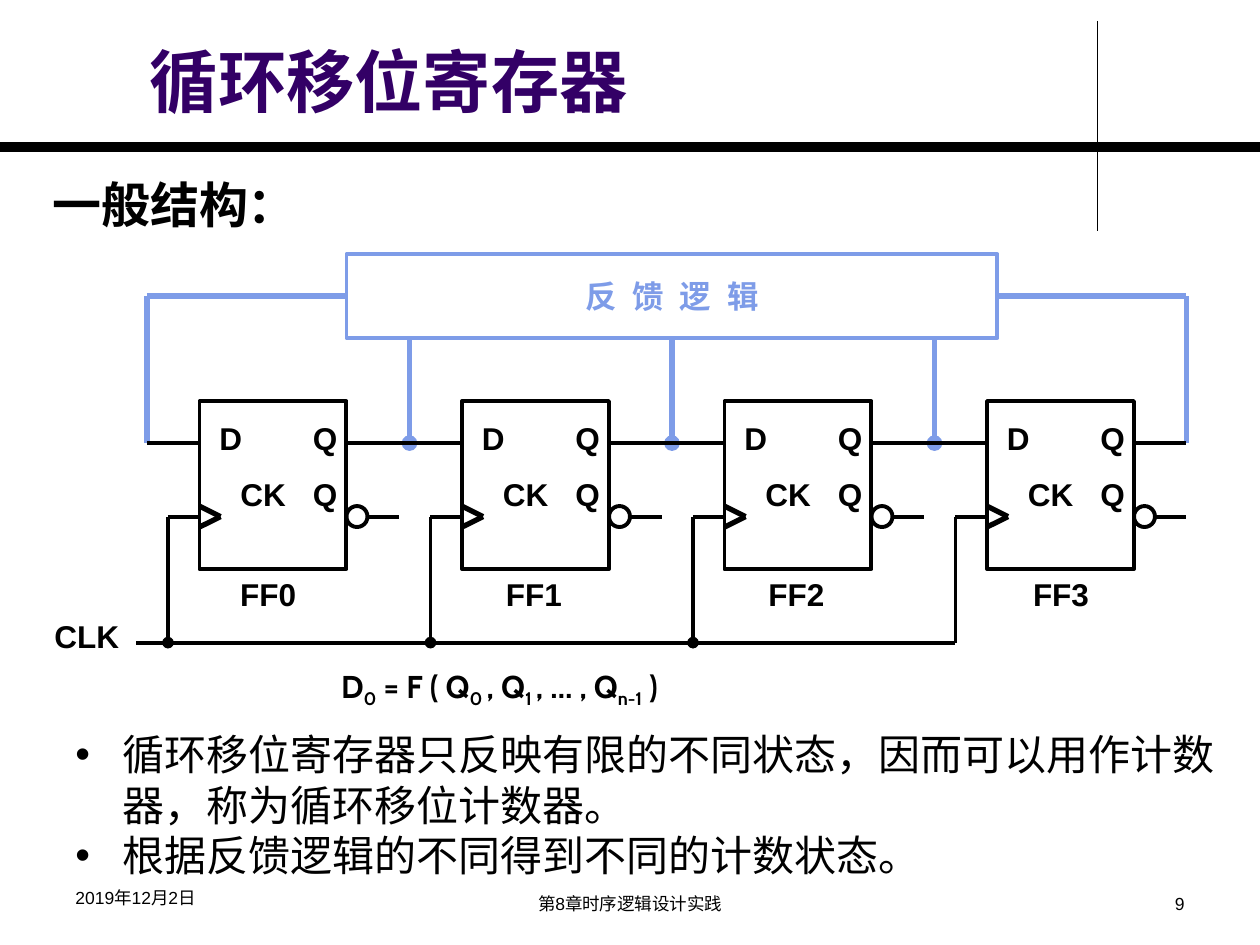
"""Build the slide on the general structure of a circular shift register."""
import pptx
import pptx.dml.color
import pptx.enum.shapes
import pptx.enum.text
import pptx.oxml.ns
import pptx.util
from lxml import etree

EMU_PER_PX = 914400 // 120
BLACK, PURPLE, BLUE = "000000", "330066", "7E9CE8"
ALIGN = pptx.enum.text.PP_ALIGN
ANCHOR = pptx.enum.text.MSO_ANCHOR
SHAPE = pptx.enum.shapes.MSO_SHAPE


def px(length):
    return pptx.util.Emu(length * EMU_PER_PX)


def color(value):
    return pptx.dml.color.RGBColor.from_string(value)


def add_element(parent, name, **attributes):
    return etree.SubElement(parent, pptx.oxml.ns.qn(name), attributes)


class Drawing:
    """Hold the style and the current slide, with one method per kind of element."""

    font_name = "Arial"
    label_size = 18
    wire_width = 2.25
    feedback_width = 3

    def __init__(self, slide):
        self.slide = slide

    def format_runs(self, paragraph, size, ink, bold, font_name=None):
        for run in paragraph.runs:
            run.font.name = font_name or self.font_name
            run.font.size = pptx.util.Pt(size)
            run.font.bold = bold
            run.font.color.rgb = color(ink)

    def text(self, box, content, size, ink=BLACK, bold=False, align=ALIGN.LEFT,
             anchor=ANCHOR.TOP, font_name=None):
        shape = self.slide.shapes.add_textbox(*map(px, box))
        frame = shape.text_frame
        frame.word_wrap = True
        frame.vertical_anchor = anchor
        frame.text = content
        for paragraph in frame.paragraphs:
            paragraph.alignment = align
            self.format_runs(paragraph, size, ink, bold, font_name)
        return shape

    def label(self, box, content):
        return self.text(box, content, self.label_size, bold=True)

    def formula(self, box, parts):
        shape = self.text(box, "", self.label_size)
        paragraph = shape.text_frame.paragraphs[0]
        for index, part in enumerate(parts):
            run = paragraph.add_run()
            run.text = part
            if index % 2:
                run.font._element.set("baseline", "-25000")
        self.format_runs(paragraph, self.label_size, BLACK, True, "Cabin")

    def bullets(self, box, items):
        shape = self.text(box, "\n".join(items), 24, font_name="Cabin")
        for paragraph in shape.text_frame.paragraphs:
            properties = paragraph._p.get_or_add_pPr()
            properties.set("marL", str(px(45)))
            properties.set("indent", str(px(-45)))
            add_element(properties, "a:buFont", typeface="Arial")
            add_element(properties, "a:buChar", char="•")

    def outline(self, preset, box, ink=BLACK):
        shape = self.slide.shapes.add_shape(preset, *map(px, box))
        shape.shadow.inherit = False
        shape.fill.background()
        shape.line.color.rgb = color(ink)
        shape.line.width = pptx.util.Pt(self.wire_width)
        return shape

    def line(self, start, end, ink=BLACK, width=None, dot=None):
        connector = self.slide.shapes.add_connector(
            pptx.enum.shapes.MSO_CONNECTOR.STRAIGHT, *map(px, start + end))
        connector.line.color.rgb = color(ink)
        connector.line.width = pptx.util.Pt(width or self.wire_width)
        if dot:
            add_element(connector.line._get_or_add_ln(), dot, type="oval")
        add_element(connector._element.spPr, "a:effectLst")
        return connector

    def feedback_line(self, start, end, dot=None):
        return self.line(start, end, BLUE, self.feedback_width, dot)

    def feedback(self, taps, wire_y):
        left, top, width, height = box = (330, 242, 620, 80)
        middle, bottom, right = top + height // 2, top + height, left + width
        first, *inner, last = taps
        for x in (first, last):
            self.feedback_line((x, wire_y), (x, middle))
        logic = self.outline(SHAPE.RECTANGLE, box, BLUE)
        frame = logic.text_frame
        frame.vertical_anchor = ANCHOR.MIDDLE
        frame.text = "反 馈 逻 辑"
        paragraph = frame.paragraphs[0]
        paragraph.alignment = ALIGN.CENTER
        self.format_runs(paragraph, self.label_size, BLUE, True)
        paragraph.runs[0].font._element.set("spc", "250")
        self.feedback_line((first, middle), (left, middle)).end_connect(logic, 1)
        self.feedback_line((right, middle), (last, middle)).begin_connect(logic, 3)
        for x in inner:
            tap = self.feedback_line((x, wire_y), (x, bottom), "a:headEnd")
            if x == left + width // 2:
                tap.end_connect(logic, 2)

    def flip_flop(self, left, wire_y, clock_y, output_length):
        right = left + 140
        body = self.outline(SHAPE.RECTANGLE, (left, wire_y - 40, 140, 160))
        frame = body.text_frame
        frame.word_wrap = True
        frame.vertical_anchor = ANCHOR.TOP
        frame.margin_left, frame.margin_right = px(19), px(2)
        frame.margin_top = frame.margin_bottom = px(6)
        frame.text = "D\tQ\n\tCK\tQ"
        rows = ((1.3, (89,)), (1.5, (20, 89)))
        for paragraph, (spacing, stops) in zip(frame.paragraphs, rows):
            tabs = add_element(paragraph._p.get_or_add_pPr(), "a:tabLst")
            for stop in stops:
                add_element(tabs, "a:tab", pos=str(px(stop)), algn="l")
            paragraph.alignment = ALIGN.LEFT
            paragraph.line_spacing = spacing
            self.format_runs(paragraph, self.label_size, BLACK, True)
        for edge_y in (clock_y - 10, clock_y + 10):
            self.line((left, edge_y), (left + 20, clock_y), width=3)
        self.line((left - 50, wire_y), (left, wire_y))
        self.line((left - 30, clock_y), (left, clock_y))
        self.line((right, wire_y), (right + output_length, wire_y))
        self.line((right + 20, clock_y), (right + 50, clock_y))
        self.outline(SHAPE.OVAL, (right, clock_y - 10, 20, 20))


def main():
    presentation = pptx.Presentation()
    presentation.slide_width, presentation.slide_height = px(1200), px(900)
    drawing = Drawing(presentation.slides.add_slide(presentation.slide_layouts[6]))

    drawing.line((1045, 20), (1045, 220), width=0.75)
    drawing.line((0, 140), (1200, 140), width=6)
    drawing.text((131, 24, 906, 97), "循环移位寄存器", 39, PURPLE, True,
                 anchor=ANCHOR.BOTTOM)
    drawing.text((38, 160, 276, 68), "一般结构：", 28, bold=True)
    drawing.formula((313, 629, 534, 60),
                    ("D", "0", " = F ( Q", "0 ", ", Q", "1 ", ", … , Q", "n-1", " )"))

    wire_y, clock_y, bus_y = 422, 492, 612
    lefts = [190 + 250 * index for index in range(4)]
    drawing.feedback([left - 50 for left in lefts] + [1130], wire_y)
    output_lengths = (80, 90, 80, 50)
    label_offsets = (27, 30, 30, 32)
    for index, left in enumerate(lefts):
        drawing.flip_flop(left, wire_y, clock_y, output_lengths[index])
        drawing.line((left - 30, clock_y), (left - 30, bus_y),
                     dot="a:tailEnd" if left != lefts[-1] else None)
        drawing.label((left + label_offsets[index], 542, 83, 60), f"FF{index}")
    drawing.line((130, bus_y), (lefts[-1] - 30, bus_y))
    drawing.label((40, 582, 91, 60), "CLK")

    drawing.bullets((60, 688, 1126, 157), (
        "循环移位寄存器只反映有限的不同状态，因而可以用作计数器，称为循环移位计数器。",
        "根据反馈逻辑的不同得到不同的计数状态。"))
    drawing.text((60, 839, 280, 41), "2019年12月2日", 10)
    drawing.text((410, 845, 380, 35), "第8章时序逻辑设计实践", 10, align=ALIGN.CENTER)
    drawing.text((860, 845, 280, 35), "9", 10, align=ALIGN.RIGHT)
    presentation.save("out.pptx")


if __name__ == "__main__":
    main()
